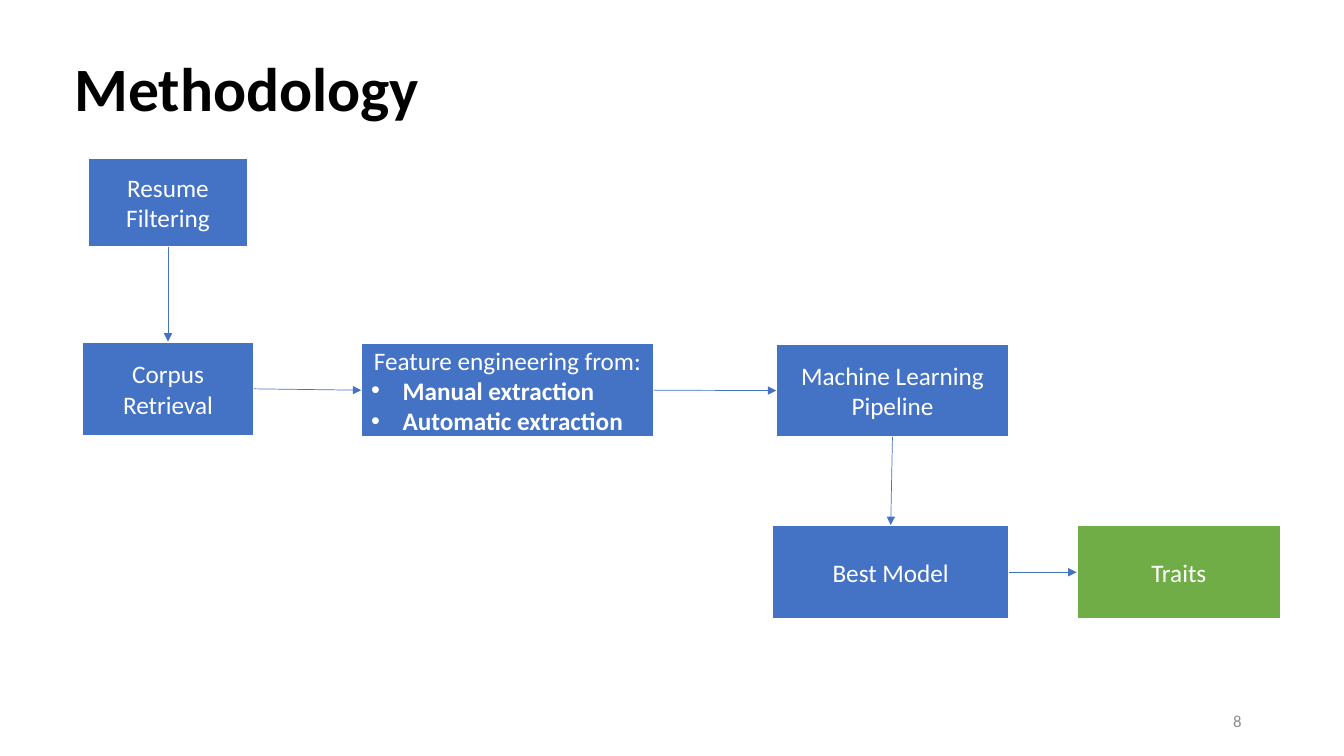
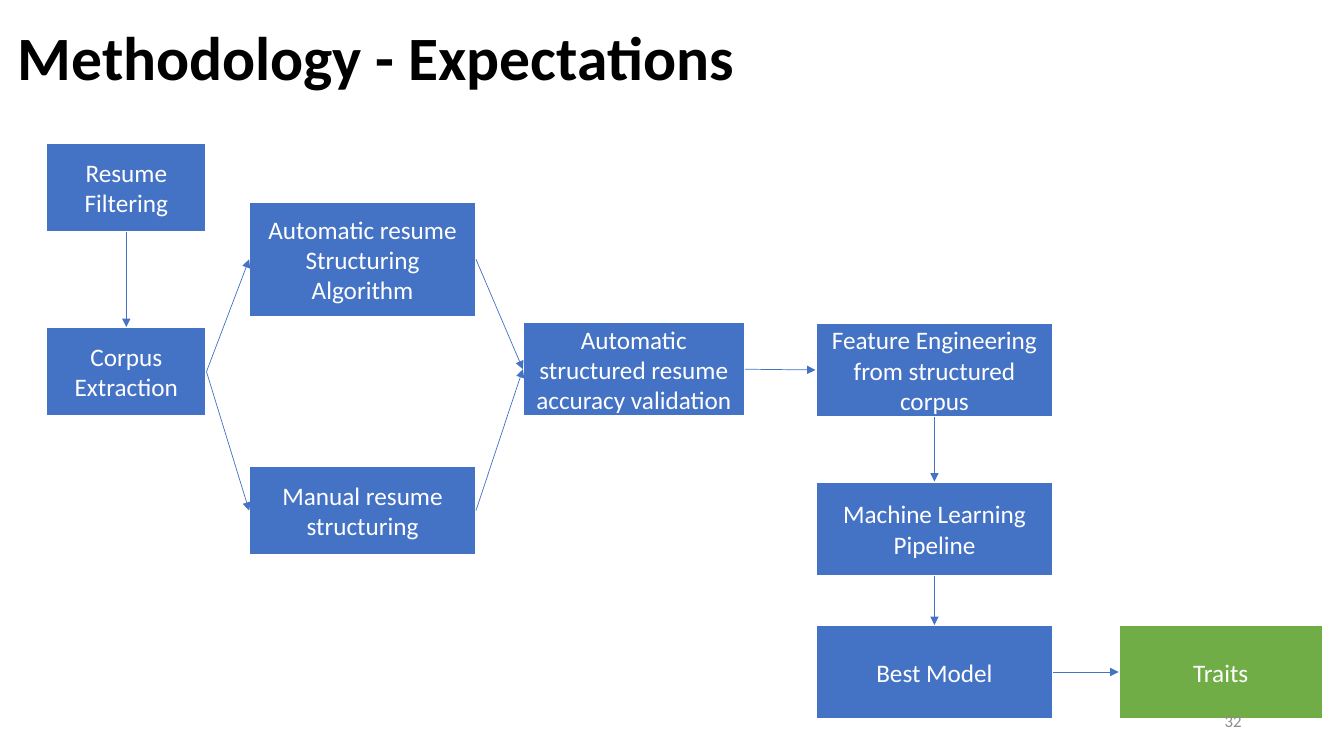
from lxml import etree
from pptx import Presentation
from pptx.dml.color import RGBColor
from pptx.enum import shapes, text
from pptx.oxml.ns import qn
from pptx.util import Pt

FONT = "Calibri"
COLORS = {
    "step": "4472C4",
    "result": "70AD47",
    "white": "FFFFFF",
    "title": "000000",
    "number": "8C8C8C",
}
TOP, LEFT, BOTTOM, RIGHT = range(4)  # connection sites of a rectangle
BULLET_INDENT = Pt(22.5)


def color(name):
    return RGBColor.from_string(COLORS[name])


def style_font(paragraph, size, color_name, bold=False):
    font = paragraph.font
    font.name, font.size, font.bold = FONT, Pt(size), bold
    font.color.rgb = color(color_name)


def add_bullet(paragraph):
    properties = paragraph._p.get_or_add_pPr()
    properties.set("marL", str(BULLET_INDENT))
    properties.set("indent", str(-BULLET_INDENT))
    etree.SubElement(properties, qn("a:buFont"), typeface="Arial")
    etree.SubElement(properties, qn("a:buChar"), char="•")


def add_label(slide, box, wording):
    """Add a one-paragraph text box and return its paragraph for styling."""
    frame = slide.shapes.add_textbox(*map(Pt, box)).text_frame
    frame.word_wrap = True
    frame.vertical_anchor = text.MSO_ANCHOR.MIDDLE
    paragraph = frame.paragraphs[0]
    paragraph.text = wording
    return paragraph


def add_title(slide, box, wording):
    paragraph = add_label(slide, box, wording)
    paragraph.line_spacing = 0.9
    style_font(paragraph, 44, "title", bold=True)


def add_page_number(slide, number):
    paragraph = add_label(slide, (678, 500.5, 216, 29), number)
    paragraph.alignment = text.PP_ALIGN.RIGHT
    style_font(paragraph, 12, "number")


def add_box(slide, box, wording, bullets=(), fill="step"):
    """Add a flowchart box with a centred label and optional bold bullets."""
    shape = slide.shapes.add_shape(shapes.MSO_SHAPE.RECTANGLE, *map(Pt, box))
    shape.shadow.inherit = False
    shape.fill.solid()
    shape.fill.fore_color.rgb = color(fill)
    shape.line.color.rgb = color("white")
    shape.line.width = Pt(1.5)
    frame = shape.text_frame
    frame.word_wrap = True
    frame.vertical_anchor = text.MSO_ANCHOR.MIDDLE
    heading = frame.paragraphs[0]
    heading.text = wording
    heading.alignment = text.PP_ALIGN.CENTER
    style_font(heading, 18, "white")
    for bullet in bullets:
        paragraph = frame.add_paragraph()
        paragraph.text = bullet
        paragraph.alignment = text.PP_ALIGN.LEFT
        add_bullet(paragraph)
        style_font(paragraph, 18, "white", bold=True)
    return shape


def add_arrow(slide, source, source_site, target, target_site):
    arrow = slide.shapes.add_connector(shapes.MSO_CONNECTOR.STRAIGHT, 0, 0, 0, 0)
    arrow.begin_connect(source, source_site)
    arrow.end_connect(target, target_site)
    arrow.line.color.rgb = color("step")
    arrow.line.width = Pt(0.5)
    etree.SubElement(arrow.line._get_or_add_ln(), qn("a:tailEnd"), type="triangle")
    etree.SubElement(arrow._element.spPr, qn("a:effectLst"))


def add_across(slide, *steps):
    for source, target in zip(steps, steps[1:]):
        add_arrow(slide, source, RIGHT, target, LEFT)


def add_down(slide, *steps):
    for source, target in zip(steps, steps[1:]):
        add_arrow(slide, source, BOTTOM, target, TOP)


def add_flow_slide(presentation, title, title_box, add_flow, number):
    """Add a slide with its title, its flowchart and, on top, its page number."""
    slide = presentation.slides.add_slide(presentation.slide_layouts[6])
    add_title(slide, title_box, title)
    add_flow(slide)
    add_page_number(slide, number)


def add_methodology(slide):
    filtering = add_box(slide, (63, 112.5, 114, 64), "Resume Filtering")
    corpus = add_box(slide, (58.5, 244, 123, 67.5), "Corpus Retrieval")
    features = add_box(slide, (258, 245, 209, 67.5), "Feature engineering from:",
                       bullets=("Manual extraction", "Automatic extraction"))
    pipeline = add_box(slide, (554.5, 246, 166, 66), "Machine Learning Pipeline")
    model = add_box(slide, (551.5, 375, 169.5, 67.5), "Best Model")
    traits = add_box(slide, (769, 375, 146, 67.5), "Traits", fill="result")
    add_down(slide, filtering, corpus)
    add_across(slide, corpus, features, pipeline)
    add_down(slide, pipeline, model)
    add_across(slide, model, traits)


def add_expectations(slide):
    filtering = add_box(slide, (33, 102, 114.5, 64), "Resume Filtering")
    corpus = add_box(slide, (33, 233.5, 114.5, 64), "Corpus Extraction")
    manual = add_box(slide, (178, 333, 162, 63.5), "Manual resume structuring")
    automatic = add_box(slide, (178, 144, 162, 82.5),
                        "Automatic resume Structuring Algorithm")
    validation = add_box(slide, (373.5, 230, 158.5, 67.5),
                         "Automatic structured resume accuracy validation")
    features = add_box(slide, (582.5, 230.5, 170, 67.5),
                       "Feature Engineering from structured corpus")
    pipeline = add_box(slide, (582.5, 344, 170, 67.5), "Machine Learning Pipeline")
    model = add_box(slide, (582.5, 446.5, 170, 67), "Best Model")
    traits = add_box(slide, (799, 446.5, 146, 67), "Traits", fill="result")
    add_down(slide, filtering, corpus)
    for structuring in (manual, automatic):
        add_across(slide, corpus, structuring, validation)
    add_across(slide, validation, features)
    add_down(slide, features, pipeline, model)
    add_across(slide, model, traits)


def main():
    presentation = Presentation()
    presentation.slide_width, presentation.slide_height = Pt(960), Pt(540)
    add_flow_slide(presentation, "Methodology", (46, 36, 280, 59),
                   add_methodology, "8")
    add_flow_slide(presentation, "Methodology - Expectations", (5.5, 14, 548, 59),
                   add_expectations, "32")
    presentation.save("out.pptx")


if __name__ == "__main__":
    main()
